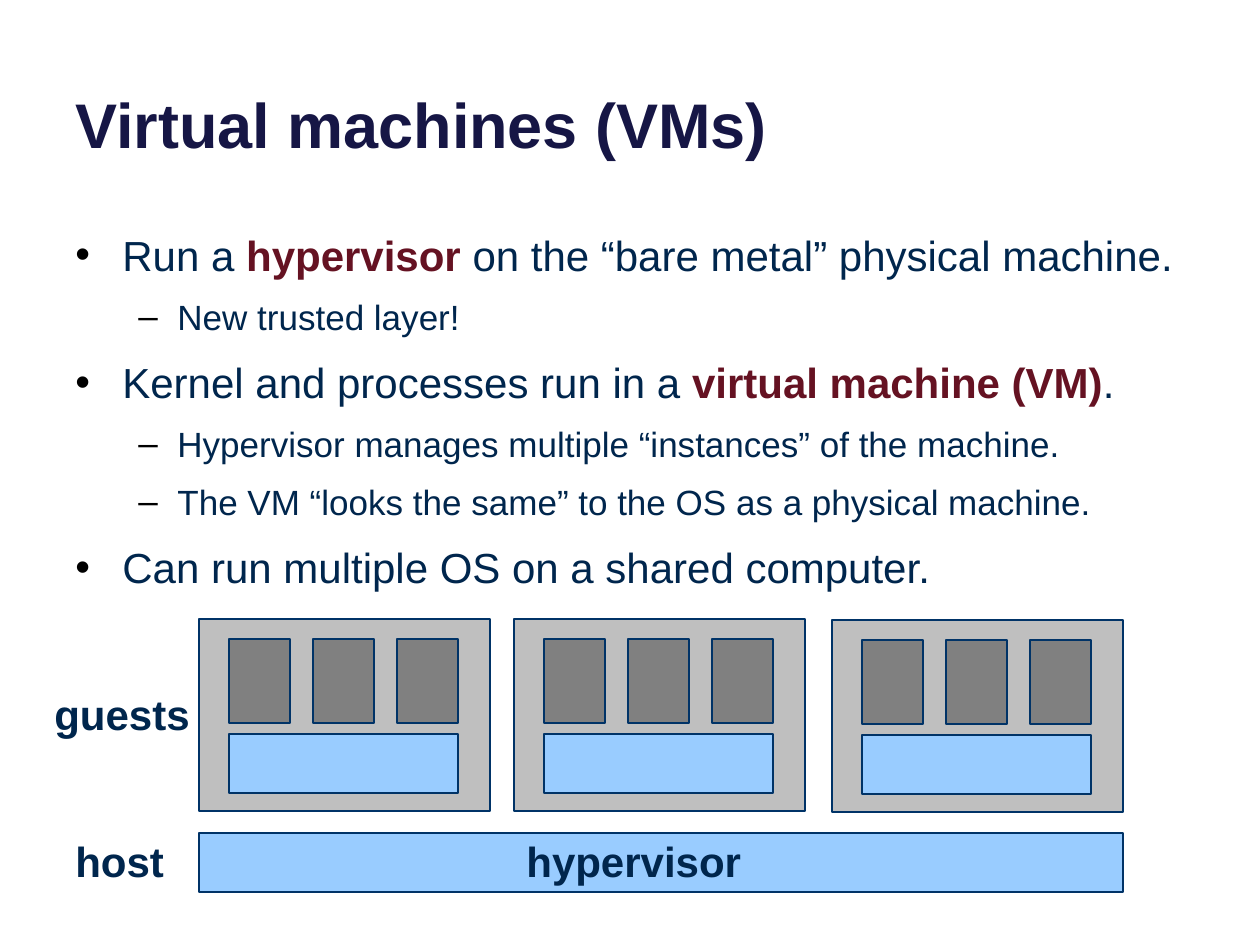
from lxml.etree import SubElement
from pptx import Presentation
from pptx.dml.color import RGBColor as RGB
from pptx.enum.shapes import MSO_SHAPE as Shape
from pptx.enum.text import MSO_ANCHOR as Anchor
from pptx.oxml.ns import qn
from pptx.util import Pt

SCALE = 914400 / 126
FONT = "Arial"
INK = RGB(0x00, 0x26, 0x4D)
NAVY = RGB(0x16, 0x16, 0x45)
RED = RGB(0x65, 0x12, 0x22)
EDGE = RGB(0x00, 0x33, 0x67)
SILVER = RGB(0xBF, 0xBF, 0xBF)
GRAY = RGB(0x80, 0x80, 0x80)
BLUE = RGB(0x99, 0xCC, 0xFF)

LEVELS = [("•", 47, 47, 24, 11), ("–", 102, 39, 20, 9)]
POINTS = [
    (0, ["Run a ", "hypervisor", " on the “bare metal” physical machine."]),
    (1, ["New trusted layer!"]),
    (0, ["Kernel and processes run in a ", "virtual machine (VM)", "."]),
    (1, ["Hypervisor manages multiple “instances” of the machine."]),
    (1, ["The VM “looks the same” to the OS as a physical machine."]),
    (0, ["Can run multiple OS on a shared computer."]),
]
GUESTS = [(199, 619), (514, 619), (832, 620)]
LABELS = [("hypervisor", 514, 829), ("host", 63, 829), ("guests", 42, 682)]


def emu(px):
    return round(px * SCALE)


class Deck:
    def __init__(self, wide, high):
        self.file = Presentation()
        self.file.slide_width = emu(wide)
        self.file.slide_height = emu(high)
        self.slide = self.file.slides.add_slide(self.file.slide_layouts[6])

    def style(self, run, size, color, bold):
        font = run.font
        font.name, font.size, font.bold = FONT, Pt(size), bold
        font.color.rgb = color

    def frame(self, *box):
        frame = self.slide.shapes.add_textbox(*map(emu, box)).text_frame
        frame.word_wrap = True
        return frame

    def label(self, text, box, size=24, color=INK, anchor=Anchor.TOP):
        frame = self.frame(*box)
        frame.vertical_anchor = anchor
        frame.text = text
        self.style(frame.paragraphs[0].runs[0], size, color, True)

    def bullet(self, para, level):
        mark, left, hang, size, gap = LEVELS[level]
        para.level = level
        props = para._p.get_or_add_pPr()
        props.set("marL", str(emu(left)))
        props.set("indent", str(-emu(hang)))
        tint = SubElement(props, qn("a:buClr"))
        SubElement(tint, qn("a:srgbClr"), val="000000")
        SubElement(props, qn("a:buFont"), typeface=FONT)
        SubElement(props, qn("a:buChar"), char=mark)
        return size, gap

    def points(self, items, box):
        frame = self.frame(*box)
        for row, (level, parts) in enumerate(items):
            para = frame.add_paragraph() if row else frame.paragraphs[0]
            size, gap = self.bullet(para, level)
            if row:
                para.space_before = Pt(gap)
            for spot, part in enumerate(parts):
                run = para.add_run()
                run.text = part
                strong = spot == 1
                self.style(run, size, RED if strong else INK, strong)

    def block(self, box, fill, kind=Shape.RECTANGLE, width=1.5):
        shape = self.slide.shapes.add_shape(kind, *map(emu, box))
        shape.shadow.inherit = False
        shape.fill.solid()
        shape.fill.fore_color.rgb = fill
        shape.line.color.rgb = EDGE
        shape.line.width = Pt(width)

    def layer(self, box):
        self.block(box, BLUE, Shape.FLOWCHART_PROCESS, 1)

    def guest(self, x, y):
        self.block((x, y, 291, 192), SILVER)
        for col in range(3):
            self.block((x + 30 + 84 * col, y + 20, 61, 84), GRAY)
        self.layer((x + 30, y + 115, 229, 59))


def main():
    deck = Deck(1260, 945)
    deck.label("Virtual machines (VMs)", (63, -47, 1134, 214), 36, NAVY, Anchor.BOTTOM)
    deck.points(POINTS, (63, 223, 1155, 388))
    for x, y in GUESTS:
        deck.guest(x, y)
    deck.layer((199, 833, 924, 59))
    for text, x, y in LABELS:
        deck.label(text, (x, y, 242, 63))
    deck.file.save("out.pptx")


if __name__ == "__main__":
    main()
